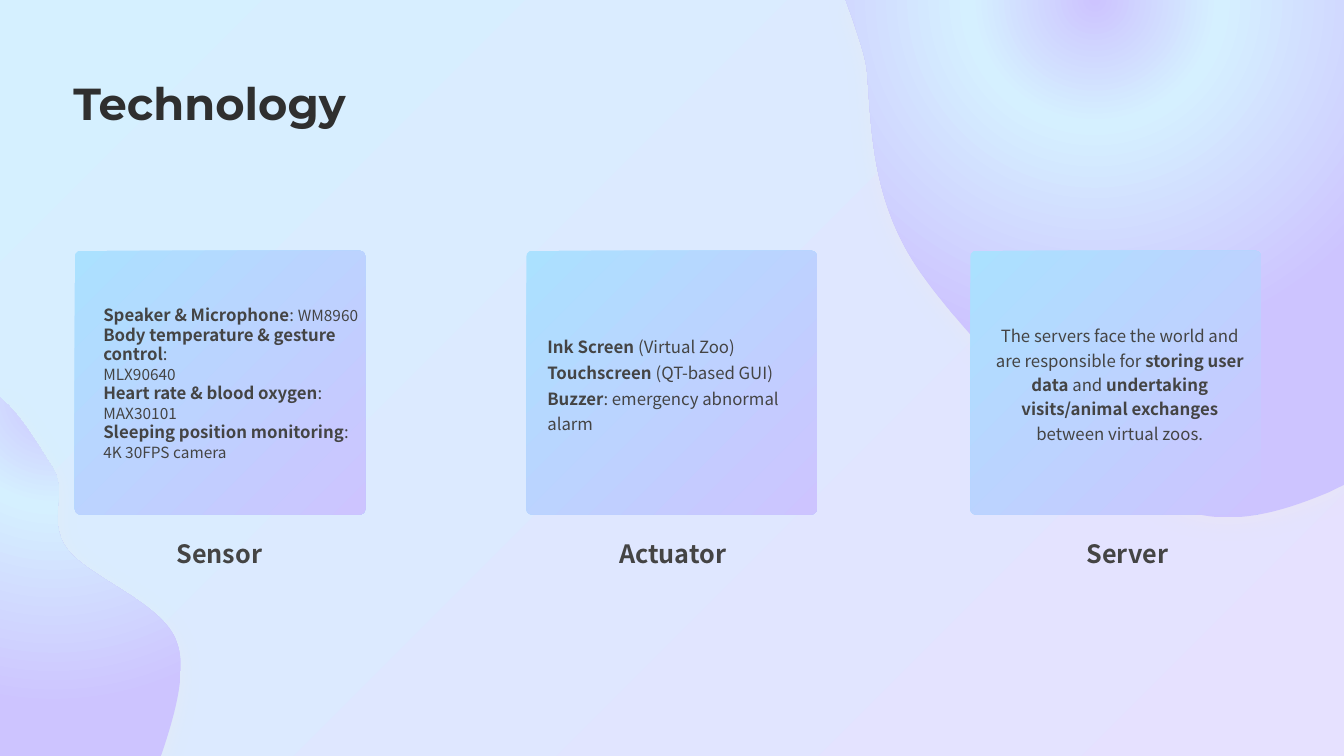
import math

from pptx import Presentation, oxml
from pptx.dml import color
from pptx.enum import shapes, text
from pptx.oxml import ns
from pptx.util import Pt

# Content: a run is (words, bold, size key)
TITLE = "Technology"
CARDS = [
    dict(label="Sensor", left=53.4, mid=156.6, box=(52.6, 193.6, 227.5, 160.6),
         lead=13.9, align="LEFT", paras=[
             [("Speaker & Microphone", True, "body"), (": ", False, "body"),
              ("WM8960", False, "small")],
             [("Body temperature & gesture control", True, "body"),
              (":", False, "body")],
             [("MLX90640", False, "small")],
             [("Heart rate & blood oxygen", True, "body"),
              (": ", False, "body"), ("MAX30101", False, "small")],
             [("Sleeping position monitoring", True, "body"),
              (": ", False, "body"), ("4K 30FPS camera", False, "small")]]),
    dict(label="Actuator", left=376, mid=480.6, box=(375.6, 226.2, 207.4, 94.3),
         lead=18.4, align="LEFT", paras=[
             [("Ink Screen ", True, "body"), ("(Virtual Zoo)", False, "body")],
             [("Touchscreen ", True, "body"), ("(QT-based GUI)", False, "body")],
             [("Buzzer", True, "body"),
              (": emergency abnormal alarm", False, "body")]]),
    dict(label="Server", left=693.1, mid=805.3, box=(692.6, 218.2, 214.6, 110.2),
         lead=17.4, align="CENTER", paras=[
             [("The servers face the world and are responsible for ", False, "body"),
              ("storing user data ", True, "body"), ("and ", False, "body"),
              ("undertaking visits/animal exchanges ", True, "body"),
              ("between virtual zoos.", False, "body")]]),
]

# Blob outlines: two numbers make a line, six make a Bezier curve
BLOBS = [
    dict(turn=0, hub=(0, 0), path=[
        (604.1, 0), (960, 0), (960, 346.3), (949.7, 351.4),
        (917.3, 365, 879.1, 377.3, 843.8, 363.6),
        (787, 341.3, 697, 249.8, 659.5, 197.3),
        (622.1, 145.4, 622.8, 92.9, 619.2, 49.7),
        (617.8, 38.9, 613.4, 27.4, 609.8, 15.8)]),
    dict(turn=214.9, hub=(38.5, 438.5), path=[
        (0, 283), (4.3, 287.3),
        (18, 300.2, 29.5, 321.1, 36.7, 331.9),
        (50.4, 350.6, 33.1, 370.8, 48.2, 391.7),
        (63.4, 412.6, 117.4, 430.6, 126.7, 458.6),
        (134.6, 479.5, 124.6, 512.6, 115.9, 538.6),
        (115.2, 540), (0, 540)]),
]

THEME = dict(
    back=("D5F0FF", "E6E1FF"), card=("ABE1FF", "CDC4FF"),
    blob=((0, "CDC4FF"), (35, "D5F0FF"), (100, "CDC4FF")), glow="FFF1D5",
    ink="444444", dark="2F2F2F", head="Montserrat", font="Noto Sans CJK SC",
    size=dict(title=32, label=18, body=12, small=11))
CARD_TOP, CARD_W, CARD_H = 179, 207.6, 188.6
LABEL_TOP, LABEL_W, LABEL_H = 378, 116, 35.3

deck = Presentation()
deck.slide_width, deck.slide_height = Pt(960), Pt(540)
slide = deck.slides.add_slide(deck.slide_layouts[6])


def blend(fill, pair):
    """Linear gradient from top left to bottom right."""
    fill.gradient()
    fill.gradient_angle = 315
    for stop, tint, at in zip(fill.gradient_stops, pair, (0, 1)):
        stop.color.rgb = color.RGBColor.from_string(tint)
        stop.position = at


def unturn(seg, turn, hub):
    """Points of one segment before the shape is rotated about its hub."""
    cos, sin = math.cos(math.radians(turn)), math.sin(math.radians(turn))
    pts = []
    for x, y in zip(seg[::2], seg[1::2]):
        dx, dy = x - hub[0], y - hub[1]
        pts.append((Pt(hub[0] + dx * cos + dy * sin),
                    Pt(hub[1] - dx * sin + dy * cos)))
    return pts


def blob(turn, hub, path):
    segs = [unturn(seg, turn, hub) for seg in path]
    pen = slide.shapes.build_freeform(*segs[0][0], scale=1.0)
    pen.add_line_segments([seg[-1] for seg in segs[1:]], close=True)
    form = pen.convert_to_shape()
    props = form._element.spPr
    # Bend the segments that have control points
    for line, seg in zip(list(props.iter(ns.qn("a:lnTo"))), segs[1:]):
        if len(seg) == 3:
            pts = "".join(f'<a:pt x="{x - form.left}" y="{y - form.top}"/>'
                          for x, y in seg)
            line.getparent().replace(line, oxml.parse_xml(
                f'<a:cubicBezTo {ns.nsdecls("a")}>{pts}</a:cubicBezTo>'))
    form.rotation = turn
    form.line.fill.background()
    form.fill.gradient()
    stops = "".join(f'<a:gs pos="{at * 1000}"><a:srgbClr val="{tint}"/></a:gs>'
                    for at, tint in THEME["blob"])
    props.replace(props.find(ns.qn("a:gradFill")), oxml.parse_xml(
        f'<a:gradFill {ns.nsdecls("a")}><a:gsLst>{stops}</a:gsLst>'
        '<a:path path="circle"><a:fillToRect l="50000" t="-80000" '
        'r="50000" b="180000"/></a:path></a:gradFill>'))
    props.append(oxml.parse_xml(
        f'<a:effectLst {ns.nsdecls("a")}><a:outerShdw blurRad="{Pt(15)}" '
        f'dist="{Pt(4)}" dir="5400000" rotWithShape="0">'
        f'<a:srgbClr val="{THEME["glow"]}"><a:alpha val="20000"/>'
        '</a:srgbClr></a:outerShdw></a:effectLst>'))


def panel(box, curve):
    form = slide.shapes.add_shape(shapes.MSO_SHAPE.ROUNDED_RECTANGLE,
                                  *map(Pt, box))
    form.adjustments[0] = curve
    form.shadow.inherit = False
    form.line.fill.background()
    return form


def write(frame, paras, align, lead=None, font="font", ink="ink"):
    frame.word_wrap = True
    for i, runs in enumerate(paras):
        para = frame.add_paragraph() if i else frame.paragraphs[0]
        para.alignment = getattr(text.PP_ALIGN, align)
        if lead:
            para.line_spacing = Pt(lead)
        for words, bold, size in runs:
            run = para.add_run()
            run.text = words
            run.font.name = THEME[font]
            run.font.size = Pt(THEME["size"][size])
            run.font.bold = bold
            run.font.color.rgb = color.RGBColor.from_string(THEME[ink])


def note(box, curve, *words):
    """Text in an unfilled rounded panel."""
    form = panel(box, curve)
    form.fill.background()
    form.text_frame.vertical_anchor = text.MSO_ANCHOR.MIDDLE
    write(form.text_frame, *words)


# Background and blobs
blend(slide.background.fill, THEME["back"])
for item in BLOBS:
    blob(**item)

# Card panels
for card in CARDS:
    blend(panel((card["left"], CARD_TOP, CARD_W, CARD_H), 0.022).fill,
          THEME["card"])

# Title
title = slide.shapes.add_textbox(Pt(45.4), Pt(50.4), Pt(855.4), Pt(85))
write(title.text_frame, [[(TITLE, True, "title")]], "LEFT",
      font="head", ink="dark")

# Labels and card text
for card in CARDS:
    note((card["mid"] - LABEL_W / 2, LABEL_TOP, LABEL_W, LABEL_H), 0.3,
         [[(card["label"], True, "label")]], "CENTER")
    note(card["box"], 0.3, card["paras"], card["align"], card["lead"])

deck.save("out.pptx")
